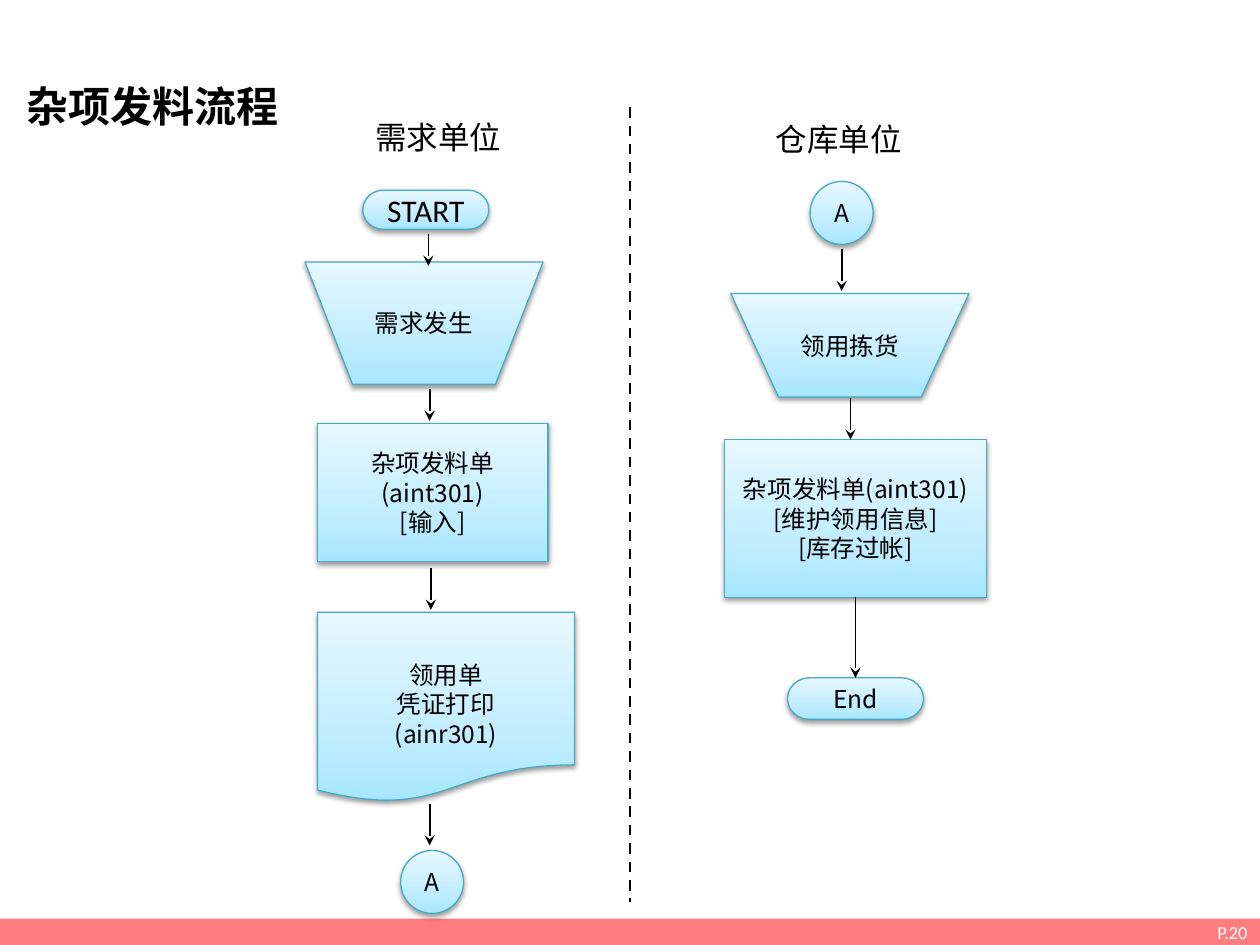
from lxml.etree import SubElement
from pptx import Presentation
from pptx.dml.color import RGBColor
from pptx.enum.dml import MSO_LINE
from pptx.enum.shapes import MSO_CONNECTOR, MSO_SHAPE
from pptx.enum.text import MSO_ANCHOR, PP_ALIGN
from pptx.oxml import parse_xml
from pptx.oxml.ns import nsdecls, qn
from pptx.util import Inches, Pt

THEME = {
    "cjk": "Noto Sans CJK SC", "latin": "Calibri",
    "ink": "000000", "paper": "FFFFFF", "band": "FF7C80", "edge": "46AAC5",
    "gradient": [(0, "A7E6FF"), (35, "C1EDFF"), (100, "E7F8FF")],
    "title": 24, "heading": 18, "step": 14, "page": 10.5,
}
TITLE = ("杂项发料流程", (0.11, 0.59, 4.17, 0.53))
PAGE = ("P.20", (0, 7.29, 10, 0.21))
HEADINGS = [
    ("需求单位", (2.88, 0.89, 1.47, 0.42)),
    ("仓库单位", (6.06, 0.9, 1.47, 0.42)),
]
STEPS = {
    "start": (MSO_SHAPE.FLOWCHART_TERMINATOR, (2.88, 1.51, 1, 0.31), ["START"]),
    "demand": (MSO_SHAPE.FLOWCHART_MANUAL_OPERATION, (2.42, 2.08, 1.89, 0.97), ["需求发生"]),
    "entry": (MSO_SHAPE.RECTANGLE, (2.52, 3.36, 1.83, 1.1), ["杂项发料单(aint301)", "[输入]"]),
    "voucher": (MSO_SHAPE.FLOWCHART_DOCUMENT, (2.52, 4.86, 2.04, 1.51),
                ["领用单", "凭证打印", "(ainr301)"]),
    "to_a": (MSO_SHAPE.FLOWCHART_CONNECTOR, (3.18, 6.75, 0.5, 0.5), ["A"]),
    "from_a": (MSO_SHAPE.FLOWCHART_CONNECTOR, (6.43, 1.44, 0.5, 0.5), ["A"]),
    "picking": (MSO_SHAPE.FLOWCHART_MANUAL_OPERATION, (5.8, 2.33, 1.89, 0.82), ["领用拣货"]),
    "posting": (MSO_SHAPE.RECTANGLE, (5.75, 3.49, 2.08, 1.25),
                ["杂项发料单(aint301)", "[维护领用信息]", "[库存过帐]"]),
    "end": (MSO_SHAPE.FLOWCHART_TERMINATOR, (6.25, 5.38, 1.08, 0.33), ["End"]),
}
STEP_STYLES = {"start": {"size": THEME["heading"], "face": THEME["latin"]}}
STEP_TOP_INSETS = {"voucher": 0.29}
ARROWS = [
    (3.4, 1.86, 2.11, 1), (3.41, 3.09, 3.34, 1), (3.42, 4.51, 4.84, 0.75),
    (3.41, 6.38, 6.71, 1), (6.68, 1.98, 2.31, 1), (6.75, 3.16, 3.49, 1),
]
JOINED_ARROW = ("posting", "end", 0.75)
DIVIDER = (5, 0.85, 7.16, 1.5)


def write(frame, lines, size, face=THEME["cjk"], color=THEME["ink"], bold=False,
          align=PP_ALIGN.LEFT, anchor=MSO_ANCHOR.TOP):
    frame.word_wrap = True
    frame.vertical_anchor = anchor
    frame.text = "\n".join(lines)
    formats = {"size": Pt(size), "name": face, "bold": bold}
    for paragraph in frame.paragraphs:
        paragraph.alignment = align
        for run in paragraph.runs:
            for attribute, value in formats.items():
                setattr(run.font, attribute, value)
            run.font.color.rgb = RGBColor.from_string(color)
            SubElement(run.font._element, qn("a:ea"), typeface=face)


def add_step(shapes, preset, box):
    step = shapes.add_shape(preset, *map(Inches, box))
    step.line.color.rgb = RGBColor.from_string(THEME["edge"])
    step.line.width = Pt(0.75)
    step.fill.gradient()
    step.fill.gradient_angle = 90
    stops = step._element.spPr.find(qn("a:gradFill")).find(qn("a:gsLst"))
    for stop in list(stops):
        stops.remove(stop)
    for position, color in THEME["gradient"]:
        stop = SubElement(stops, qn("a:gs"), pos=str(position * 1000))
        SubElement(stop, qn("a:srgbClr"), val=color)
    step._element.spPr.append(parse_xml(
        f'<a:effectLst {nsdecls("a")}><a:outerShdw blurRad="{Pt(3.1)}" dist="{Pt(1.6)}" '
        'dir="5400000" rotWithShape="0"><a:srgbClr val="000000"><a:alpha val="38000"/>'
        '</a:srgbClr></a:outerShdw></a:effectLst>'))
    return step


def add_vertical(shapes, x, top, bottom, width, arrow=True):
    link = shapes.add_connector(MSO_CONNECTOR.STRAIGHT, *map(Inches, (x, top, x, bottom)))
    link.line.color.rgb = RGBColor.from_string(THEME["ink"])
    link.line.width = Pt(width)
    if arrow:
        SubElement(link.line._get_or_add_ln(), qn("a:tailEnd"), type="stealth")
    else:
        link.line.dash_style = MSO_LINE.DASH
    SubElement(link._element.spPr, qn("a:effectLst"))
    return link


def main():
    deck = Presentation()
    deck.slide_width, deck.slide_height = Inches(10), Inches(7.5)
    slide = deck.slides.add_slide(deck.slide_layouts[5])
    shapes = slide.shapes

    name, box = PAGE
    band = shapes.add_shape(MSO_SHAPE.RECTANGLE, *map(Inches, box))
    band.shadow.inherit = False
    band.fill.solid()
    band.fill.fore_color.rgb = RGBColor.from_string(THEME["band"])
    band.line.fill.background()
    write(band.text_frame, [name], THEME["page"], THEME["latin"], THEME["paper"],
          align=PP_ALIGN.RIGHT, anchor=MSO_ANCHOR.MIDDLE)

    name, box = TITLE
    title = shapes.title
    for attribute, value in zip(("left", "top", "width", "height"), box):
        setattr(title, attribute, Inches(value))
    write(title.text_frame, [name], THEME["title"], bold=True)

    for name, box in HEADINGS:
        heading = shapes.add_textbox(*map(Inches, box))
        write(heading.text_frame, [name], THEME["heading"])

    steps = {}
    for key, (preset, box, lines) in STEPS.items():
        steps[key] = add_step(shapes, preset, box)
        frame = steps[key].text_frame
        frame.margin_top = Inches(STEP_TOP_INSETS.get(key, 0.05))
        style = {"size": THEME["step"], **STEP_STYLES.get(key, {})}
        write(frame, lines, align=PP_ALIGN.CENTER, anchor=MSO_ANCHOR.MIDDLE, **style)

    for arrow in ARROWS:
        add_vertical(shapes, *arrow)
    source, target, width = JOINED_ARROW
    joined = add_vertical(shapes, 0, 0, 1, width)
    joined.begin_connect(steps[source], 2)
    joined.end_connect(steps[target], 0)
    add_vertical(shapes, *DIVIDER, arrow=False)

    deck.save("out.pptx")


if __name__ == "__main__":
    main()
